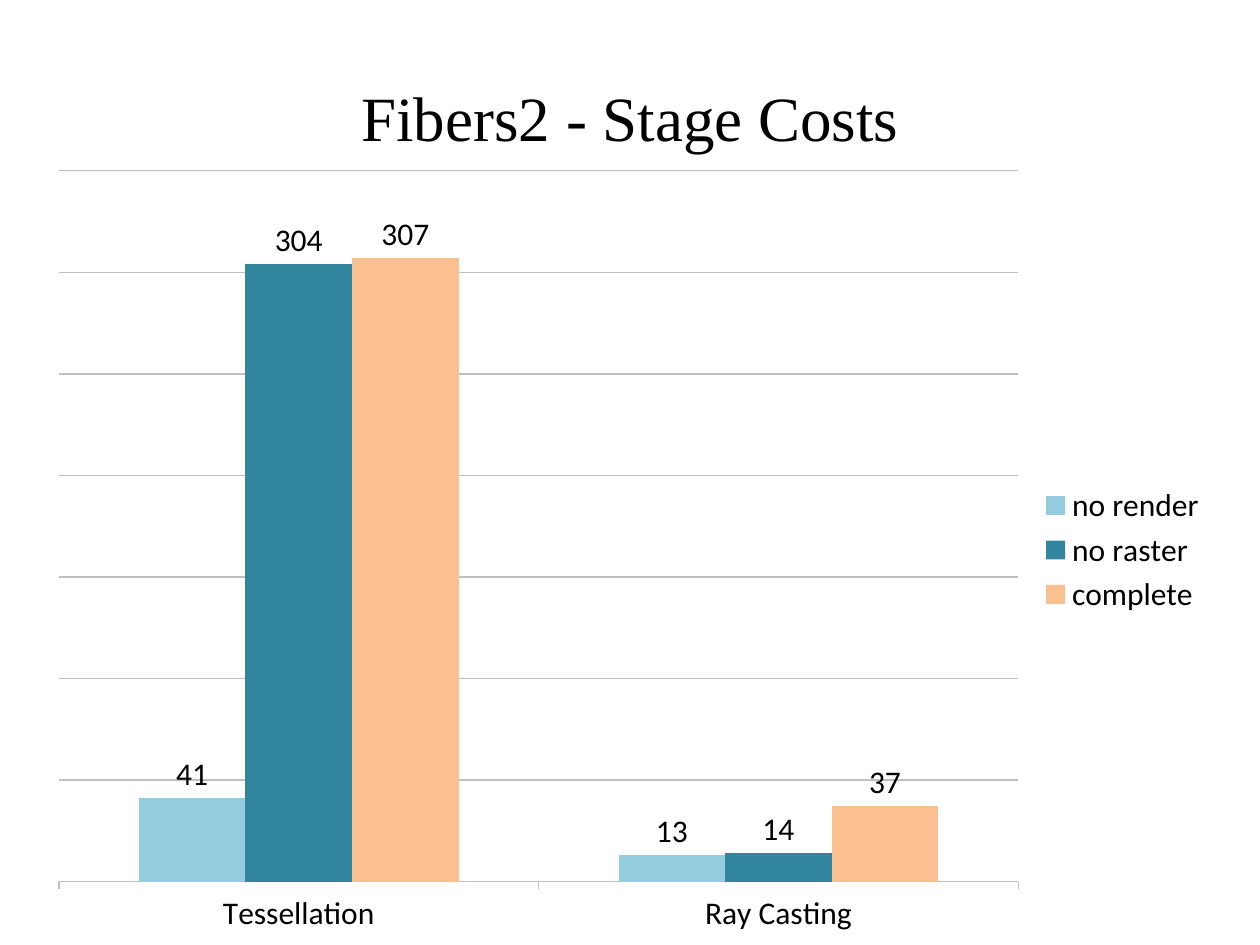
from typing import NamedTuple

from lxml import etree
from pptx import Presentation
from pptx.chart.data import CategoryChartData
from pptx.dml.color import RGBColor
from pptx.enum.chart import (XL_CHART_TYPE, XL_LABEL_POSITION,
                             XL_LEGEND_POSITION, XL_TICK_MARK)
from pptx.enum.text import MSO_ANCHOR, PP_ALIGN
from pptx.oxml.ns import qn
from pptx.util import Inches, Pt

COLUMN = XL_CHART_TYPE.COLUMN_CLUSTERED
ABOVE = XL_LABEL_POSITION.OUTSIDE_END
RIGHT = XL_LEGEND_POSITION.RIGHT
OUTSIDE = XL_TICK_MARK.OUTSIDE
MIDDLE = MSO_ANCHOR.MIDDLE
CENTER = PP_ALIGN.CENTER
BLACK, GREY = "000000", "BFBFBF"


class Stage(NamedTuple):
    """One series of the chart."""
    name: str
    costs: tuple[int, ...]
    color: str


GROUPS = ("Tessellation", "Ray Casting")
STAGES = (
    Stage("no render", (41, 13), "93CDDD"),
    Stage("no raster", (304, 14), "31859C"),
    Stage("complete", (307, 37), "FAC090"),
)
PLOT = {"x": 0.02, "y": 0.02, "w": 0.81, "h": 0.9}


def rgb(color: str) -> RGBColor:
    """Turn a hex string into a colour."""
    return RGBColor.from_string(color)


def set_font(font, name: str, size: int) -> None:
    """Give a font its face, size and black colour."""
    font.name, font.size = name, Pt(size)
    font.color.rgb = rgb(BLACK)


def set_line(line) -> None:
    """Draw a thin grey line."""
    line.color.rgb = rgb(GREY)
    line.width = Pt(0.75)


def add_title(slide, text: str) -> None:
    """Fill and place the title."""
    title = slide.shapes.title
    title.left, title.top = Inches(0.5), Inches(0.3)
    title.width, title.height = Inches(9), Inches(1.25)
    frame = title.text_frame
    frame.text = text
    frame.vertical_anchor = MIDDLE
    line = frame.paragraphs[0]
    line.alignment = CENTER
    set_font(line.font, "Times New Roman", 36)


def place_plot(chart) -> None:
    """Fix the inner plot area as shares of the chart."""
    area = chart.plots[0]._element.getparent()
    for old in area.findall(qn("c:layout")):
        area.remove(old)
    layout = etree.Element(qn("c:layout"))
    manual = etree.SubElement(layout, qn("c:manualLayout"))
    parts = {"layoutTarget": "inner", "xMode": "edge", "yMode": "edge", **PLOT}
    for tag, value in parts.items():
        etree.SubElement(manual, qn("c:" + tag)).set("val", str(value))
    area.insert(0, layout)


def add_costs(slide) -> None:
    """Add the column chart of stage costs."""
    data = CategoryChartData()
    data.categories = GROUPS
    for stage in STAGES:
        data.add_series(stage.name, stage.costs)
    chart = slide.shapes.add_chart(COLUMN, Inches(0.28), Inches(1.23),
                                   Inches(9.4), Inches(6.27), data).chart
    set_font(chart.font, "Calibri", 18)
    chart.has_title = False
    chart.has_legend = True
    chart.legend.position = RIGHT
    chart.legend.include_in_layout = False

    groups, scale = chart.category_axis, chart.value_axis
    groups.major_tick_mark = OUTSIDE
    set_line(groups.format.line)
    scale.visible = False
    scale.minimum_scale, scale.maximum_scale, scale.major_unit = 0, 350, 50
    set_line(scale.major_gridlines.format.line)

    plot = chart.plots[0]
    plot.gap_width, plot.overlap = 150, 0
    plot.vary_by_categories = False
    for series, stage in zip(plot.series, STAGES):
        series.format.fill.solid()
        series.format.fill.fore_color.rgb = rgb(stage.color)
        labels = series.data_labels
        labels.show_value = True
        labels.position = ABOVE
    place_plot(chart)


def main() -> None:
    """Build and save the slide."""
    deck = Presentation()
    deck.slide_width, deck.slide_height = Inches(10), Inches(7.5)
    slide = deck.slides.add_slide(deck.slide_layouts[5])
    add_title(slide, "Fibers2 - Stage Costs")
    add_costs(slide)
    deck.save("out.pptx")


main()
